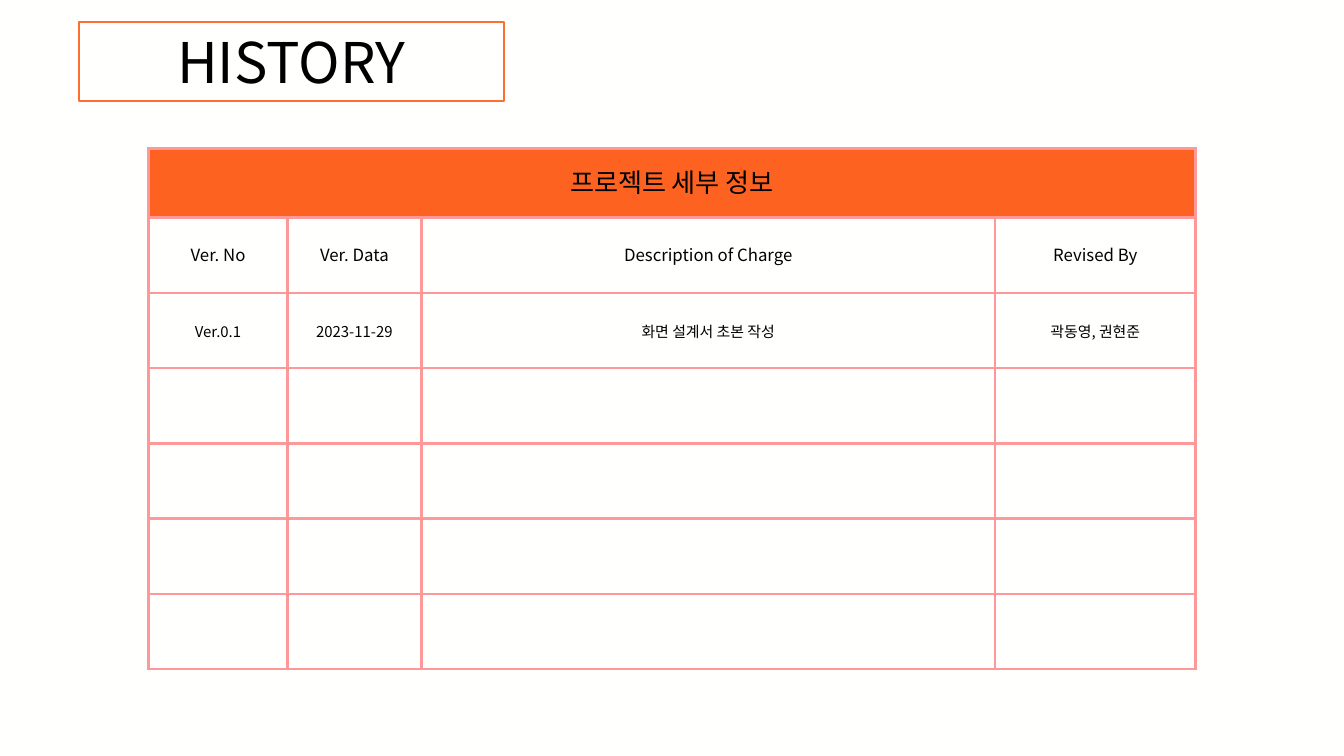
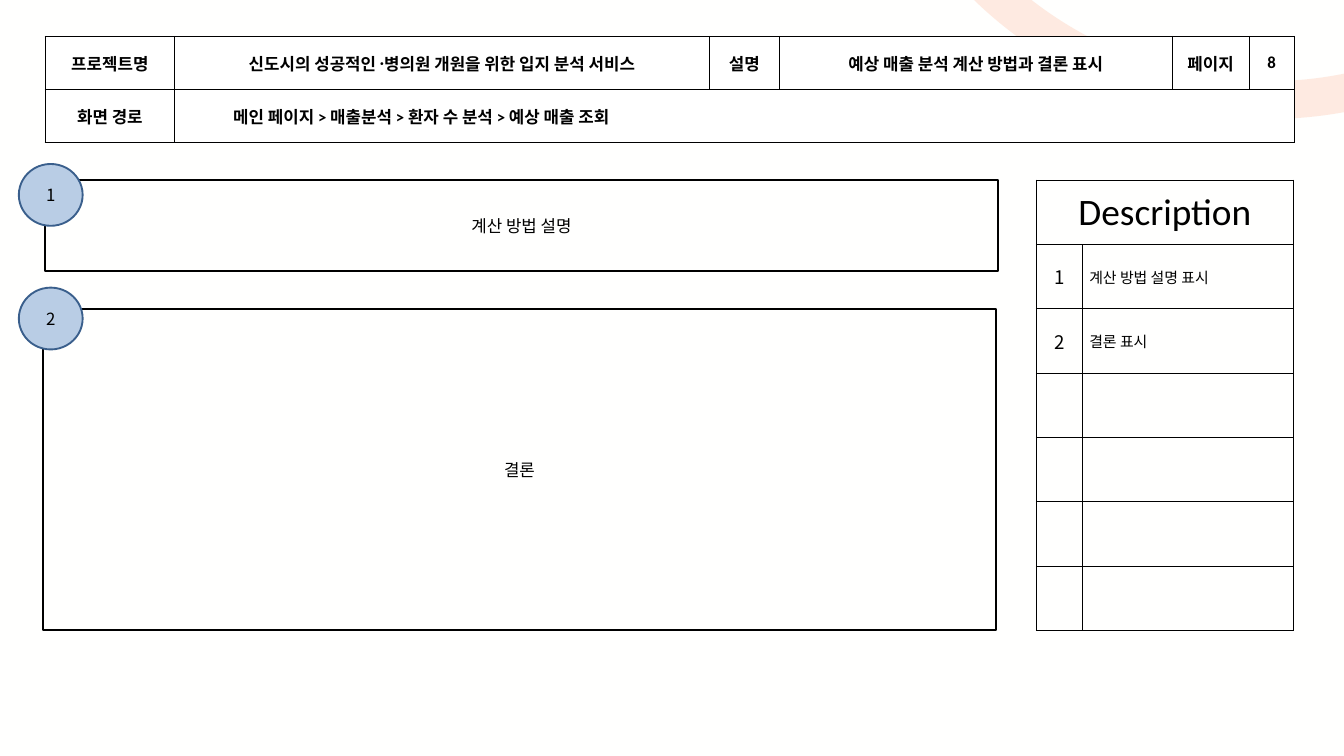
from lxml.etree import SubElement
from pptx import Presentation
from pptx.dml.color import RGBColor
from pptx.enum.shapes import MSO_SHAPE
from pptx.enum.text import MSO_ANCHOR, MSO_AUTO_SIZE, PP_ALIGN
from pptx.oxml.ns import qn
from pptx.util import Inches, Pt

BLACK = RGBColor(0x00, 0x00, 0x00)
WHITE = RGBColor(0xFF, 0xFF, 0xFF)
PAPER = RGBColor(0xFF, 0xFF, 0xFE)
ORANGE = RGBColor(0xFD, 0x62, 0x20)
TITLE_ORANGE = RGBColor(0xFD, 0x6E, 0x31)
PINK = RGBColor(0xFF, 0x99, 0x99)
BADGE_FILL = RGBColor(0xB9, 0xCD, 0xE5)
BADGE_LINE = RGBColor(0x3A, 0x5F, 0x8C)

NOTO = "Noto Sans CJK KR"
CALIBRI = "Calibri"
TITLE_ONLY, BLANK = 5, 6
DEFAULT_INSETS = (0.1, 0.05, 0.1, 0.05)


class Deck:
    """Holds the presentation, its style and the slide being filled."""

    def __init__(self):
        self.presentation = Presentation()
        self.presentation.slide_width = Inches(20)
        self.presentation.slide_height = Inches(11.25)
        self.paint(self.presentation.slide_master.background.fill, PAPER)
        self.slide = None

    def new_slide(self, layout):
        layouts = self.presentation.slide_layouts
        self.slide = self.presentation.slides.add_slide(layouts[layout])

    def paint(self, fill, color):
        if color is None:
            fill.background()
        else:
            fill.solid()
            fill.fore_color.rgb = color

    def add_text(self, frame, text, size, font=NOTO, bold=False,
                 align=PP_ALIGN.CENTER, spacing=None):
        paragraph = frame.paragraphs[0]
        paragraph.alignment = align
        if spacing:
            paragraph.line_spacing = Pt(spacing)
        run = paragraph.add_run()
        run.text = text
        run.font.size = Pt(size)
        run.font.bold = bold
        run.font.color.rgb = BLACK
        run.font.name = font
        SubElement(run.font._element, qn("a:ea"), typeface=NOTO)

    def outline(self, shape, color, width):
        shape.line.color.rgb = color
        shape.line.width = Pt(width)

    def title(self, text, left, top, width, height):
        title = self.slide.shapes.title
        title.left, title.top = Inches(left), Inches(top)
        title.width, title.height = Inches(width), Inches(height)
        self.outline(title, TITLE_ORANGE, 2)
        title.text_frame.auto_size = MSO_AUTO_SIZE.NONE
        title.text_frame.vertical_anchor = MSO_ANCHOR.MIDDLE
        self.add_text(title.text_frame, text, 60)

    def shape(self, kind, left, top, width, height, fill=None, line=BLACK,
              line_width=2, text=None):
        shape = self.slide.shapes.add_shape(
            kind, Inches(left), Inches(top), Inches(width), Inches(height))
        shape.shadow.inherit = False
        self.paint(shape.fill, fill)
        self.outline(shape, line, line_width)
        if text:
            shape.text_frame.word_wrap = True
            shape.text_frame.vertical_anchor = MSO_ANCHOR.MIDDLE
            self.add_text(shape.text_frame, text, 18)
        return shape

    def corner_ring(self):
        ring = self.shape(MSO_SHAPE.OVAL, 12.86, -10.53, 12.02, 12.02,
                          line=ORANGE, line_width=40.5)
        color = ring.element.xpath(".//a:ln//a:srgbClr")[0]
        SubElement(color, qn("a:alpha"), val="12000")

    def panel(self, text, left, top, height):
        self.shape(MSO_SHAPE.RECTANGLE, left, top, 14.18, height, text=text)

    def badge(self, number, top):
        self.shape(MSO_SHAPE.OVAL, 0.28, top, 0.95, 0.92, BADGE_FILL,
                   BADGE_LINE, text=str(number))

    def table(self, left, top, columns, rows, border, border_width, fill=None):
        frame = self.slide.shapes.add_table(
            len(rows), len(columns), Inches(left), Inches(top),
            Inches(sum(columns)), Inches(sum(rows)))
        table = frame.table
        table.first_row = table.horz_banding = False
        for column, width in zip(table.columns, columns):
            column.width = Inches(width)
        for row, height in zip(table.rows, rows):
            row.height = Inches(height)
        for cell in table.iter_cells():
            self.cell_borders(cell, border, border_width)
            self.paint(cell.fill, fill)
        return table

    def cell_borders(self, cell, color, width):
        properties = cell._tc.get_or_add_tcPr()
        for side in ("lnL", "lnR", "lnT", "lnB"):
            line = SubElement(properties, qn(f"a:{side}"), w=str(Pt(width)))
            solid = SubElement(line, qn("a:solidFill"))
            SubElement(solid, qn("a:srgbClr"), val=str(color))

    def cell(self, cell, text, size, insets=DEFAULT_INSETS, **style):
        cell.vertical_anchor = MSO_ANCHOR.MIDDLE
        (cell.margin_left, cell.margin_top,
         cell.margin_right, cell.margin_bottom) = map(Inches, insets)
        self.add_text(cell.text_frame, text, size, **style)


def build_history(deck):
    deck.new_slide(TITLE_ONLY)
    deck.title("HISTORY", 1.17, 0.33, 6.33, 1.17)

    history = deck.table(2.21, 2.21, [2.07, 1.99, 8.54, 2.98],
                         [1.03] + [1.12] * 6, PINK, 3)
    heading = history.cell(0, 0)
    heading.merge(history.cell(0, 3))
    deck.paint(heading.fill, ORANGE)
    deck.cell(heading, "프로젝트 세부 정보", 28, (0.21, 0.39, 0.21, 0.21),
              spacing=23.8)
    rows = [
        (18, ["Ver. No", "Ver. Data", "Description of Charge", "Revised By"]),
        (16, ["Ver.0.1", "2023-11-29", "화면 설계서 초본 작성", "곽동영, 권현준"]),
    ]
    for row, (size, texts) in enumerate(rows, start=1):
        for column, text in enumerate(texts):
            deck.cell(history.cell(row, column), text, size, (0.21,) * 4,
                      spacing=23.8)


def build_screen_design(deck):
    deck.new_slide(BLANK)
    deck.corner_ring()

    description = deck.table(15.42, 2.68, [0.69, 3.14], [6.7 / 7] * 7, BLACK, 1)
    description.cell(0, 0).merge(description.cell(0, 1))
    deck.cell(description.cell(0, 0), "Description", 40, font=CALIBRI)
    for number, text in enumerate(["계산 방법 설명 표시", "결론 표시"], start=1):
        deck.cell(description.cell(number, 0), str(number), 20)
        deck.cell(description.cell(number, 1), text, 16, align=PP_ALIGN.LEFT)

    header = deck.table(0.67, 0.54, [1.93, 7.95, 1.05, 5.84, 1.15, 0.67],
                        [0.79] * 2, BLACK, 1, WHITE)
    header_style = {"font": CALIBRI, "bold": True}
    project = ["프로젝트명", "신도시의 성공적인 병〮의원 개원을 위한 입지 분석 서비스",
               "설명", "예상 매출 분석 계산 방법과 결론 표시", "페이지", "8"]
    for column, text in enumerate(project):
        deck.cell(header.cell(0, column), text, 18, **header_style)
    deck.cell(header.cell(1, 0), "화면 경로", 18, **header_style)
    header.cell(1, 1).merge(header.cell(1, 5))
    deck.cell(header.cell(1, 1), "메인 페이지 > 매출분석 > 환자 수 분석 > 예상 매출 조회",
              18, (0.87, 0.05, 0.1, 0.05), align=PP_ALIGN.LEFT, **header_style)

    deck.panel("결론", 0.64, 4.6, 4.78)
    deck.panel("계산 방법 설명", 0.67, 2.68, 1.36)
    for number, top in enumerate([2.44, 4.28], start=1):
        deck.badge(number, top)


def main():
    deck = Deck()
    build_history(deck)
    build_screen_design(deck)
    deck.presentation.save("out.pptx")


if __name__ == "__main__":
    main()
